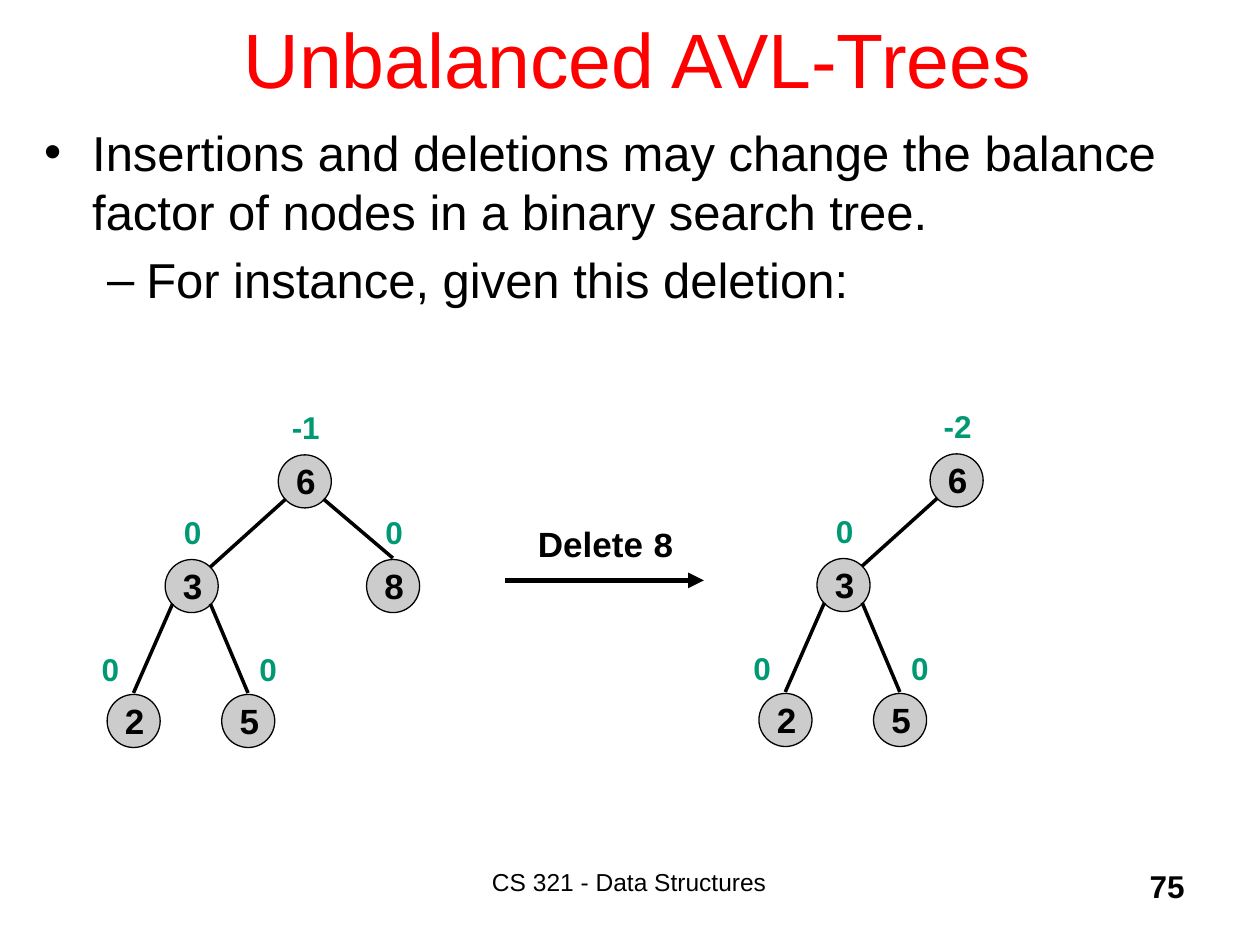
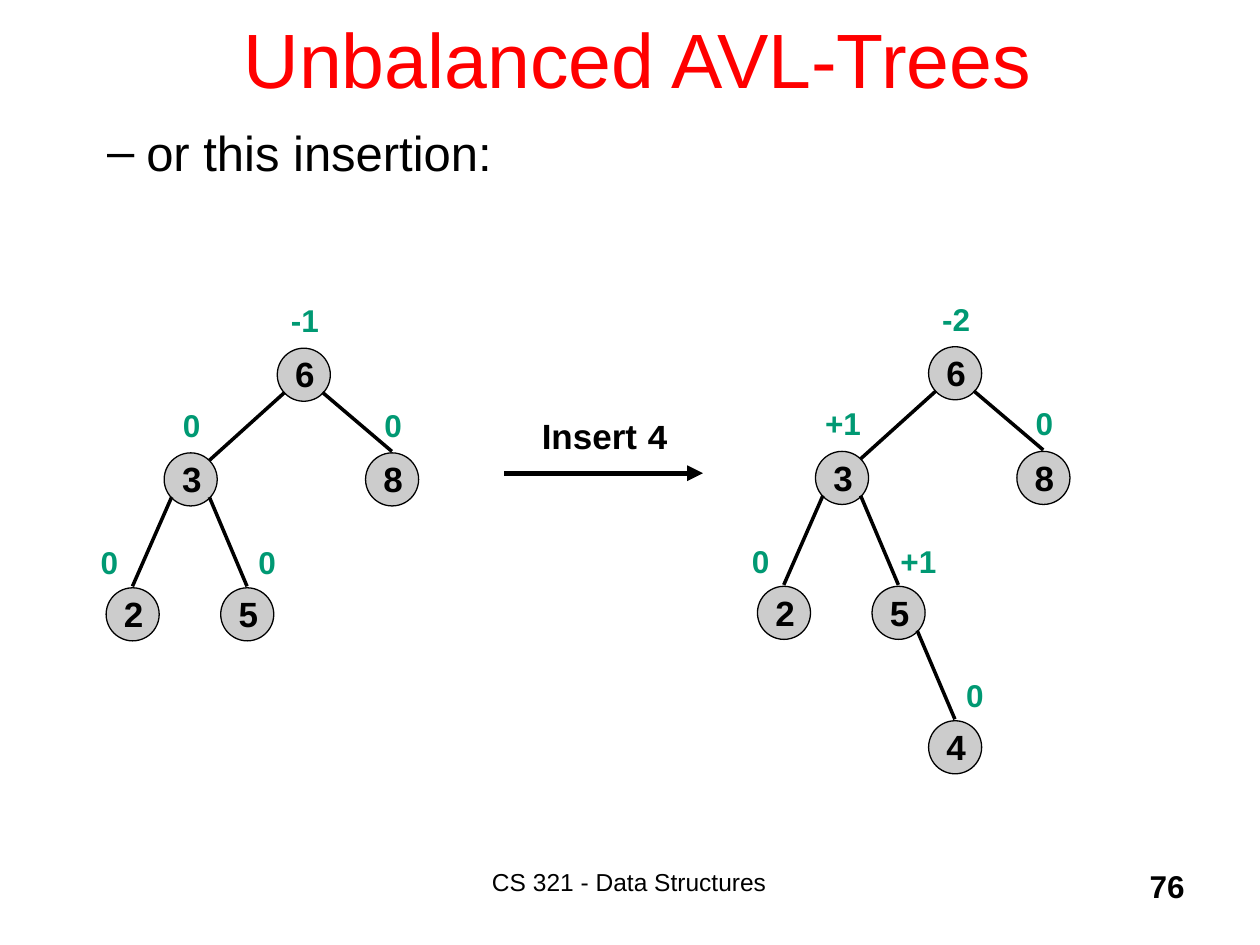
import pptx
import pptx.util
import pptx.dml.color
import pptx.enum.shapes
import pptx.enum.text
import pptx.oxml.ns
import lxml.etree

Cm = pptx.util.Cm
Pt = pptx.util.Pt
ALIGN = pptx.enum.text.PP_ALIGN
ANCHOR = pptx.enum.text.MSO_ANCHOR
qn = pptx.oxml.ns.qn

# Shared formats
BLACK, RED, GREEN, GREY = "000000", "FF0000", "009973", "CCCCCC"
TITLE = {"size": Pt(44), "bold": False, "color": RED}
BODY = {"size": Pt(28), "bold": False, "color": BLACK}
KEY = {"size": Pt(20), "bold": True, "color": BLACK}
BALANCE = {"size": Pt(18), "bold": True, "color": GREEN}
FOOTER = {"size": Pt(14), "bold": False, "color": BLACK}
NUMBER = {"size": Pt(18), "bold": True, "color": BLACK}

# Bullet, left margin and hanging indent (cm) for each text level
BULLETS = [("•", 0.97, 0.97), ("–", 2.06, 0.79)]

# Tree layout in cm: node places from the root's corner
NODE_SIZE = 1.07
PLACES = {6: (0, 0), 3: (-2.28, 2.11), 8: (1.78, 2.11),
          2: (-3.45, 4.83), 5: (-1.14, 4.83), 4: (0, 7.54)}
PARENTS = {3: 6, 8: 6, 2: 3, 5: 3, 4: 5}
# Balance label places from the node's corner, where they differ
LABEL_SHIFTS = {2: (-0.36, -1.02), 5: (0.3, -1.02), 4: (0.3, -1.02)}


def colour(code):
    return pptx.dml.color.RGBColor.from_string(code)


def write(shapes, place, paragraphs, style, align=ALIGN.LEFT, anchor=ANCHOR.TOP):
    """Add a text box; each paragraph is a list of (text, font name)."""
    box = shapes.add_textbox(*[Cm(value) for value in place])
    frame = box.text_frame
    frame.word_wrap = True
    frame.vertical_anchor = anchor
    for index, spans in enumerate(paragraphs):
        para = frame.add_paragraph() if index else frame.paragraphs[0]
        para.alignment = align
        for text, font_name in spans:
            span = para.add_run()
            span.text = text
            span.font.name = font_name
            for name, value in style.items():
                if name == "color":
                    span.font.color.rgb = colour(value)
                else:
                    setattr(span.font, name, value)
    return box


# Each tree: root corner (cm) and the balance factor of every node
pages = [
    {"number": 75,
     "body": [("Insertions and deletions may change the balance factor of "
               "nodes in a binary search tree.", 0),
              ("For instance, given this deletion:", 1)],
     "trees": [((5.61, 9.17), {6: "-1", 3: "0", 8: "0", 2: "0", 5: "0"}),
               ((18.75, 9.15), {6: "-2", 3: "0", 2: "0", 5: "0"})],
     "action": ("Delete ", "8"), "arrow": (10.18, 11.7)},
    {"number": 76,
     "body": [("or this insertion:", 1)],
     "trees": [((5.59, 7.02), {6: "-1", 3: "0", 8: "0", 2: "0", 5: "0"}),
               ((18.72, 6.99), {6: "-2", 3: "+1", 8: "0", 2: "0", 5: "+1", 4: "0"})],
     "action": ("Insert ", "4"), "arrow": (10.16, 9.54)},
]

deck = pptx.Presentation()
deck.slide_width, deck.slide_height = Cm(25.4), Cm(19.05)

for content in pages:
    page = deck.slides.add_slide(deck.slide_layouts[6])
    shapes = page.shapes

    # Title
    write(shapes, (1.78, -0.43, 22.15, 3.18), [[("Unbalanced AVL-Trees", "Arial")]],
          TITLE, ALIGN.CENTER, ANCHOR.MIDDLE)

    # Bulleted text
    box = write(shapes, (0.64, 2.34, 24.76, 2.97),
                [[(text, "Arial")] for text, level in content["body"]], BODY)
    for para, (text, level) in zip(box.text_frame.paragraphs, content["body"]):
        mark, margin, hanging = BULLETS[level]
        para.level = level
        para.space_before = Pt(5.6)
        properties = para._p.get_or_add_pPr()
        properties.set("marL", str(Cm(margin)))
        properties.set("indent", str(-Cm(hanging)))
        lxml.etree.SubElement(properties, qn("a:buFont")).set("typeface", "Arial")
        lxml.etree.SubElement(properties, qn("a:buChar")).set("char", mark)

    # Tree nodes, each grouped with its key and balance factor
    strokes = []
    for (root_x, root_y), balances in content["trees"]:
        for key, balance in balances.items():
            x, y = root_x + PLACES[key][0], root_y + PLACES[key][1]
            node = page.shapes.add_group_shape().shapes
            circle = node.add_shape(pptx.enum.shapes.MSO_SHAPE.OVAL,
                                    Cm(x), Cm(y), Cm(NODE_SIZE), Cm(NODE_SIZE))
            circle.shadow.inherit = False
            circle.fill.solid()
            circle.fill.fore_color.rgb = colour(GREY)
            circle.line.color.rgb = colour(BLACK)
            circle.line.width = Pt(0.75)
            write(node, (x + 0.11, y - 0.03, 0.84, 1.12), [[(str(key), "Arial")]], KEY)
            shift_x, shift_y = LABEL_SHIFTS.get(key, (-0.08, -1.07))
            write(node, (x + shift_x, y + shift_y, 1.27, 1.02), [[(balance, "Arial")]],
                  BALANCE, ALIGN.LEFT if key == 2 else ALIGN.CENTER)

            # Edge from the parent's lower side to this node
            if key in PARENTS:
                parent_x, parent_y = PLACES[PARENTS[key]]
                side = 0.15 if PLACES[key][0] < parent_x else 0.91
                end_x, end_y = (0.91, 0.15) if key == 3 else (0.53, -0.03)
                strokes.append((root_x + parent_x + side, root_y + parent_y + 0.89,
                                x + end_x, y + end_y, 2, False))

    # Tree edges and the action arrow
    arrow_x, arrow_y = content["arrow"]
    strokes.append((arrow_x, arrow_y, arrow_x + 4.01, arrow_y, 3, True))
    for *ends, width, has_head in strokes:
        line = shapes.add_connector(pptx.enum.shapes.MSO_CONNECTOR.STRAIGHT,
                                    *[Cm(value) for value in ends])
        line.line.color.rgb = colour(BLACK)
        line.line.width = Pt(width)
        if has_head:
            outline = line.line._get_or_add_ln()
            lxml.etree.SubElement(outline, qn("a:tailEnd")).set("type", "triangle")
        lxml.etree.SubElement(line._element.spPr, qn("a:effectLst"))

    # Action label
    verb, key = content["action"]
    write(shapes, (arrow_x - 0.2, arrow_y - 1.3, 4.47, 1.12),
          [[(verb, "Arial"), (key, "Courier New")]], KEY, ALIGN.CENTER)

    # Footer and page number
    write(shapes, (7.82, 17.35, 9.73, 1.27), [[("CS 321 - Data Structures", "Arial")]],
          FOOTER, ALIGN.CENTER)
    write(shapes, (18.85, 17.35, 5.28, 1.27), [[(str(content["number"]), "Arial")]],
          NUMBER, ALIGN.RIGHT)

deck.save("out.pptx")
